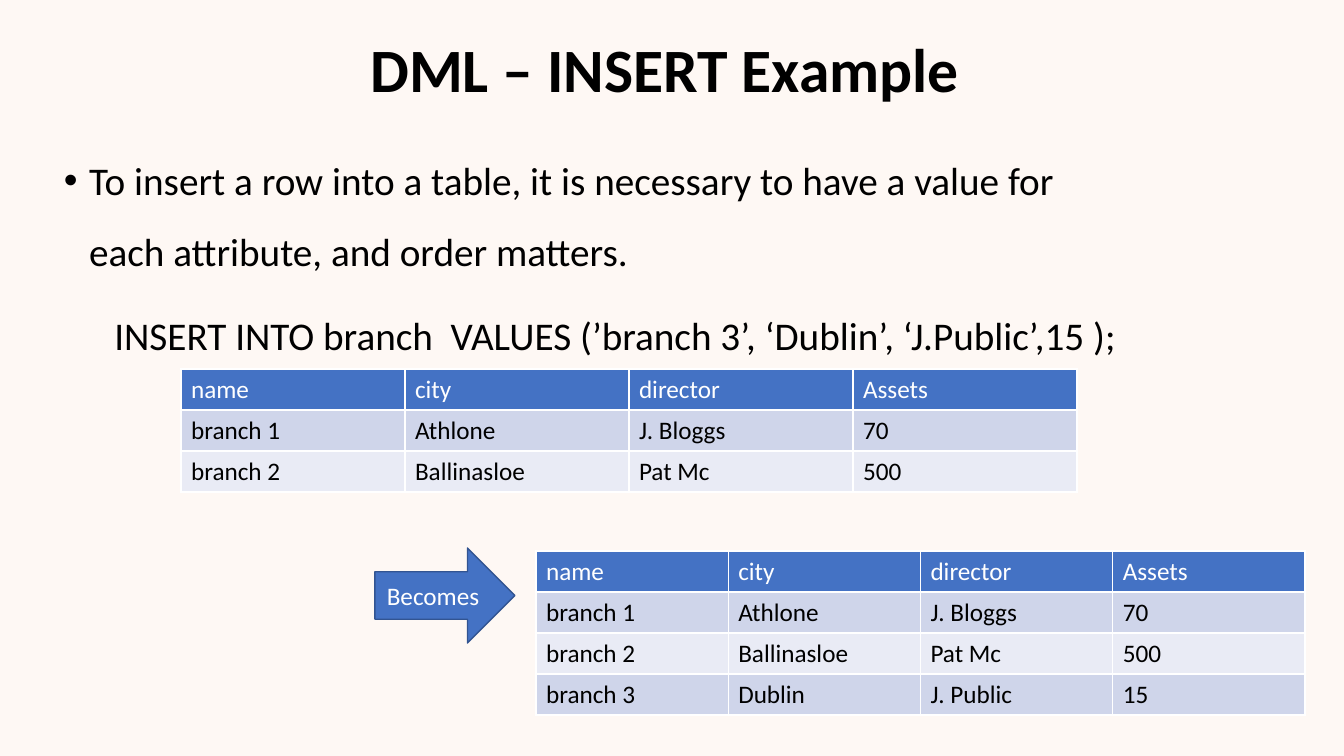
"""Build the DML INSERT example slide with its before and after tables."""
from pptx import Presentation
from pptx.dml.color import RGBColor as RGB
from pptx.enum.shapes import MSO_SHAPE as SHAPE
from pptx.enum.text import MSO_ANCHOR as ANCHOR, PP_ALIGN as ALIGN
from pptx.oxml.xmlchemy import OxmlElement
from pptx.util import Pt

THEME = {
    "font": "Calibri",
    "background": RGB.from_string("FEF8F4"),
    "ink": RGB.from_string("000000"),
    "white": RGB.from_string("FFFFFF"),
    "accent": RGB.from_string("4472C4"),
    "outline": RGB.from_string("325491"),
    "bands": [RGB.from_string("CFD5EA"), RGB.from_string("E9EBF5")],
    "title": Pt(44),
    "body": Pt(28),
    "label": Pt(18),
}
PX = 914400 / 100.8


def box(*lengths):
    return [round(n * PX) for n in lengths]


def write(p, text, size, color, bold=False, **layout):
    p.text = text
    for name, value in layout.items():
        setattr(p, name, value)
    for r in p.runs:
        style = {"name": THEME["font"], "size": size, "bold": bold}
        for name, value in style.items():
            setattr(r.font, name, value)
        r.font.color.rgb = color


prs = Presentation()
prs.slide_width, prs.slide_height = box(1344, 756)
s = prs.slides.add_slide(prs.slide_layouts[6])
s.background.fill.solid()
s.background.fill.fore_color.rgb = THEME["background"]

tf = s.shapes.add_textbox(*box(0, 14, 1344, 117)).text_frame
tf.word_wrap = True
tf.vertical_anchor = ANCHOR.MIDDLE
write(tf.paragraphs[0], "DML – INSERT Example ", THEME["title"], THEME["ink"],
      bold=True, alignment=ALIGN.CENTER, line_spacing=0.9)

tf = s.shapes.add_textbox(*box(54, 128, 1198, 480)).text_frame
tf.word_wrap = True
spacing = {"line_spacing": 1.5, "space_before": Pt(10)}
p = tf.paragraphs[0]
write(p, "To insert a row into a table, it is necessary to have a value for \v"
      "each attribute, and order matters.", THEME["body"], THEME["ink"], **spacing)
pPr = p._p.get_or_add_pPr()
pPr.set("marL", "228600")
pPr.set("indent", "-228600")
for tag, key, value in [("a:buFont", "typeface", "Arial"), ("a:buChar", "char", "•")]:
    bullet = OxmlElement(tag)
    bullet.set(key, value)
    pPr.append(bullet)
write(tf.add_paragraph(),
      "\tINSERT INTO branch  VALUES (’branch 3’, ‘Dublin’, ‘J.Public’,15 );",
      THEME["body"], THEME["ink"], **spacing)

arrow = s.shapes.add_shape(SHAPE.RIGHT_ARROW, *box(375, 548, 140, 95))
arrow.shadow.inherit = False
arrow.fill.solid()
arrow.fill.fore_color.rgb = THEME["accent"]
arrow.line.color.rgb = THEME["outline"]
arrow.line.width = Pt(1)
arrow.text_frame.vertical_anchor = ANCHOR.MIDDLE
write(arrow.text_frame.paragraphs[0], "Becomes", THEME["label"], THEME["white"],
      alignment=ALIGN.CENTER)

before = [
    ["name", "city", "director", "Assets"],
    ["branch 1", "Athlone", "J. Bloggs", "70"],
    ["branch 2", "Ballinasloe", "Pat Mc", "500"],
]
after = before + [["branch 3", "Dublin", "J. Public", "15"]]
ROW_HEIGHT = 41

for rows, left, top, width in [(before, 181, 369, 896), (after, 536, 551, 769)]:
    frame = s.shapes.add_table(len(rows), len(rows[0]),
                               *box(left, top, width, ROW_HEIGHT * len(rows)))
    for i, row in enumerate(rows):
        for j, text in enumerate(row):
            cell = frame.table.cell(i, j)
            cell.fill.solid()
            cell.fill.fore_color.rgb = THEME["bands"][(i - 1) % 2] if i else THEME["accent"]
            write(cell.text_frame.paragraphs[0], text, THEME["label"],
                  THEME["ink"] if i else THEME["white"])

prs.save("out.pptx")
